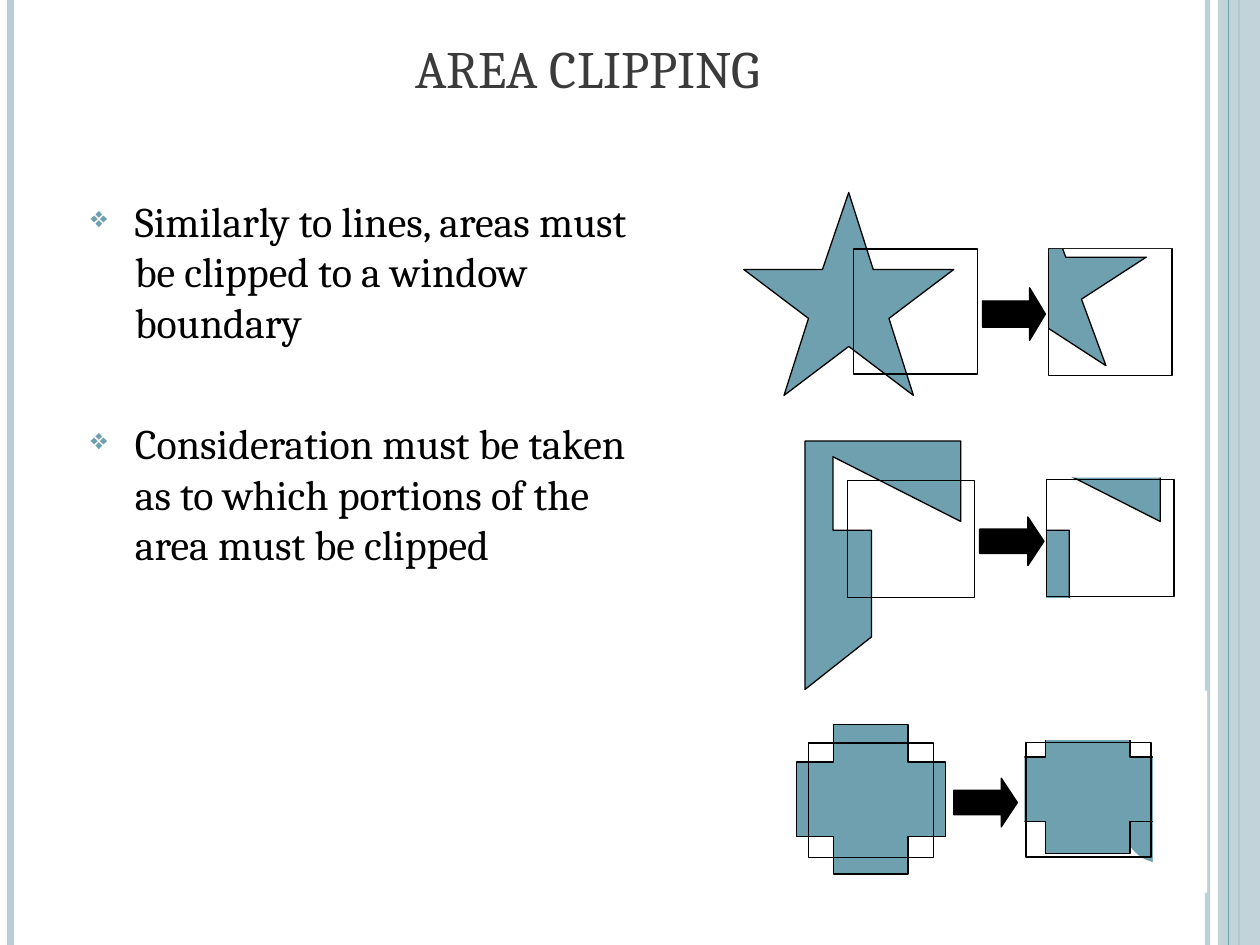
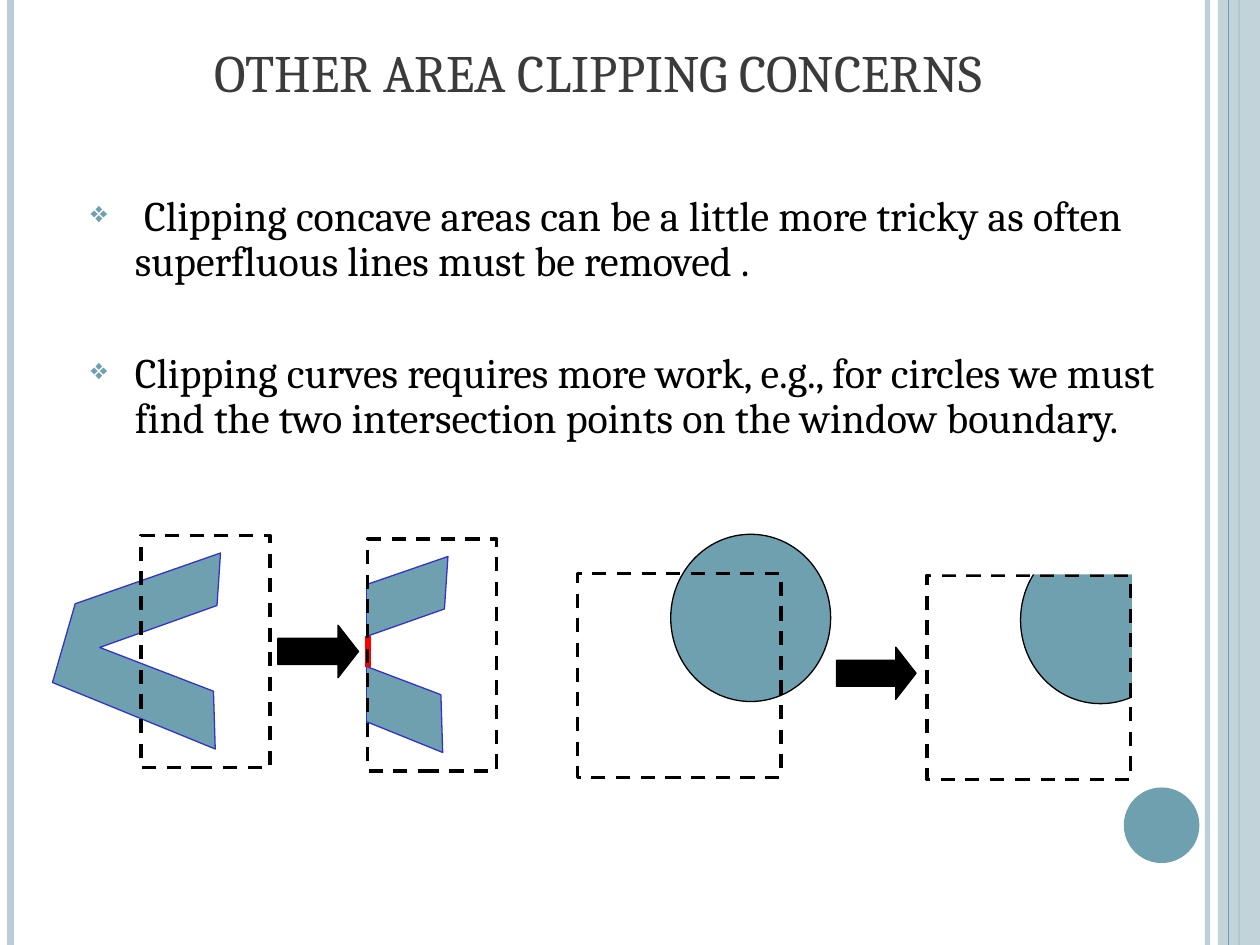
from lxml import etree
from pptx import Presentation, util as u
from pptx.dml.color import RGBColor
from pptx.enum import dml, shapes as sh, text as tx
from pptx.oxml.ns import qn

Pt = u.Pt
TEAL, PALE, INK, GREY = "6EA0B0", "BACDD4", "000000", "3B3B3B"
WHITE, BLUE, RED = "FFFFFF", "3333CC", "FF0000"
FONT = "Cambria"
KIND = sh.MSO_SHAPE

STAR = [(0, .38), (.38, .38), (.5, 0), (.62, .38), (1, .38),
        (.69, .62), (.81, 1), (.5, .76), (.19, 1), (.31, .62)]
HOOK = [(0, 1), (0, 0), (1, 0), (1, .33), (.18, .07),
        (.18, .36), (.42, .36), (.42, .79)]
WEDGE = [(1, 0), (.98, .27), (.28, .48), (.96, .71),
         (.97, 1), (0, .66), (.13, .26)]


def color(code):
    return RGBColor.from_string(code)


def fade(part, alpha):
    tint = next(part.iter(qn("a:srgbClr")))
    etree.SubElement(tint, qn("a:alpha")).set("val", str(alpha * 1000))


def paint(shape, fill=None, line=None, width=.75, dash=False):
    shape.shadow.inherit = False
    if fill:
        shape.fill.solid()
        shape.fill.fore_color.rgb = color(fill)
    else:
        shape.fill.background()
    if line:
        shape.line.color.rgb = color(line)
        shape.line.width = Pt(width)
        if dash:
            shape.line.dash_style = dml.MSO_LINE.DASH
    else:
        shape.line.fill.background()
    return shape


def block(slide, kind, box, adj=None, **style):
    shape = slide.shapes.add_shape(kind, *map(Pt, box))
    if adj is not None:
        shape.adjustments[len(shape.adjustments) - 1] = adj
    return paint(shape, **style)


def area(slide, form, box, line=INK):
    left, top, wide, high = box
    spots = [(left + x * wide, top + y * high) for x, y in form]
    pen = slide.shapes.build_freeform(*spots[0], scale=Pt(1))
    pen.add_line_segments(spots[1:], close=True)
    paint(pen.convert_to_shape(), fill=TEAL, line=line)


def solid(slide, kind, box, adj=None):
    block(slide, kind, box, adj, fill=TEAL, line=INK)


def frame(slide, box, **style):
    block(slide, KIND.RECTANGLE, box, line=INK, **style)


def mask(slide, *boxes):
    for box in boxes:
        block(slide, KIND.RECTANGLE, box, fill=WHITE)


def arrow(slide, box, head):
    block(slide, KIND.RIGHT_ARROW, box, head, fill=INK, line=INK)


def rule(slide, x, top, end, tone, width):
    line = slide.shapes.add_connector(
        sh.MSO_CONNECTOR.STRAIGHT, Pt(x), Pt(top), Pt(x), Pt(end))
    line.line.color.rgb = color(tone)
    line.line.width = Pt(width)
    props = line._element.spPr
    etree.SubElement(props, qn("a:effectLst"))
    return props


def bullet(para):
    props = para._p.get_or_add_pPr()
    props.set("marL", str(Pt(34)))
    props.set("indent", str(Pt(-25.2)))
    tone = etree.SubElement(props, qn("a:buClr"))
    etree.SubElement(tone, qn("a:srgbClr")).set("val", TEAL)
    etree.SubElement(props, qn("a:buSzPct")).set("val", "70000")
    etree.SubElement(props, qn("a:buChar")).set("char", "❖")


def write(slide, lines, box, size=24, tone=INK, align=tx.PP_ALIGN.LEFT,
          anchor=tx.MSO_ANCHOR.TOP, marks=False, gap=0, pitch=None):
    body = slide.shapes.add_textbox(*map(Pt, box)).text_frame
    body.word_wrap = True
    body.vertical_anchor = anchor
    for i, line in enumerate(lines):
        para = body.add_paragraph() if i else body.paragraphs[0]
        para.alignment = align
        if pitch:
            para.line_spacing = pitch
        if i:
            para.space_before = Pt(gap)
        if marks:
            bullet(para)
        run = para.add_run()
        run.text = line
        run.font.size = Pt(size)
        run.font.name = FONT
        run.font.color.rgb = color(tone)


def start(deck, title, left, top):
    slide = deck.slides.add_slide(deck.slide_layouts[6])
    fade(rule(slide, 690, 0, 540, PALE, 3), 93)
    rule(slide, 6, 0, 540, PALE, 4.5)
    rule(slide, 708, 0, 540, TEAL, 1.5)
    band = block(slide, KIND.RECTANGLE, (696, 0, 24, 540), fill=PALE)
    fade(band._element.spPr, 87)
    rule(slide, 702, 0, 540, TEAL, .75)
    block(slide, KIND.OVAL, (642.2, 450, 43.2, 43.2), fill=TEAL)
    write(slide, [title], (left, top, 588.2, 62.6), size=30, tone=GREY,
          align=tx.PP_ALIGN.CENTER, anchor=tx.MSO_ANCHOR.BOTTOM)
    return slide


def star_row(slide):
    area(slide, STAR, (535, 109.4, 120, 99.4))
    mask(slide, (530.6, 112.3, 68.4, 161.3))
    area(slide, STAR, (424.8, 109.6, 120, 116.6))
    frame(slide, (487.9, 142.3, 70.6, 71.5))
    frame(slide, (599, 141.8, 70.8, 73))
    mask(slide, (575.3, 108, 95.8, 33.8))
    arrow(slide, (561.4, 164.5, 36, 30), .3)


def plus_row(slide):
    solid(slide, KIND.CROSS, (578.9, 414.2, 85.2, 73.6), .25)
    solid(slide, KIND.CROSS, (455, 414.2, 85.2, 85.2), .25)
    for left, top in (462.1, 424.6), (586.3, 424.2):
        frame(slide, (left, top, 71.4, 65.5))
    mask(slide, (554.4, 397.4, 31, 110.9), (560.9, 404.2, 96.5, 18.7),
         (658.8, 394.6, 31, 115.5))
    arrow(slide, (545, 444.7, 36.4, 27.8), .33)


def hook_row(slide):
    for left, edge, top in (460.3, 484.3, 274.6), (574.2, 598.1, 274.2):
        area(slide, HOOK, (left, 251.5, 88.7, 142.4))
        frame(slide, (edge, top, 72.7, 66.8))
    mask(slide, (565.9, 247, 31.8, 150.5), (572, 241.4, 98.6, 31.5),
         (573.8, 341.8, 97.9, 34.6))
    arrow(slide, (559.8, 295.4, 36.8, 27.8), .33)


def disc_pair(slide):
    for disc, edge, top in (383.3, 330, 305.3), (583.2, 529.7, 306.5):
        solid(slide, KIND.OVAL, (disc, top, 91.4, 95.6))
        frame(slide, (edge, top + 22.3, 116.3, 116.6), width=2, dash=True)
    mask(slide, (531.4, 289.4, 141.1, 38.9), (646.9, 300.2, 36.7, 147.6))
    arrow(slide, (478.1, 369.8, 45.4, 29.8), .39)


def wedge_pair(slide):
    area(slide, WEDGE, (159.1, 318.2, 96.4, 111.4), line=BLUE)
    mask(slide, (152.6, 306.7, 56.9, 135.4))
    rule(slide, 209.5, 334.1, 413.3, BLUE, .75)
    arrow(slide, (158.8, 357.3, 46.1, 30), .39)
    area(slide, WEDGE, (30.2, 316.2, 96, 111.4), line=BLUE)
    frame(slide, (80.6, 306, 73.8, 132.5), width=2, dash=True)
    rule(slide, 210.3, 380.9, 363.6, RED, 3)
    frame(slide, (210, 308, 73.8, 132.5), width=2, dash=True)


def main():
    deck = Presentation()
    deck.slide_width, deck.slide_height = Pt(720), Pt(540)

    slide = start(deck, "AREA CLIPPING", 41.8, -2.7)
    write(slide, [
        "Similarly to lines, areas must be clipped to a window boundary",
        "Consideration must be taken as to which portions of the area "
        "must be clipped",
    ], (36, 108, 352, 414), marks=True, gap=40.8)
    star_row(slide)
    plus_row(slide)
    hook_row(slide)

    slide = start(deck, "OTHER AREA CLIPPING CONCERNS", 48, 0)
    write(slide, [
        " Clipping concave areas can be a little more tricky as often "
        "superfluous lines must be removed .",
        "Clipping curves requires more work, e.g., for circles we must "
        "find the two intersection points on the window boundary.",
    ], (36, 108, 648, 149.8), marks=True, gap=37.9, pitch=.9)
    disc_pair(slide)
    wedge_pair(slide)

    deck.save("out.pptx")


if __name__ == "__main__":
    main()
